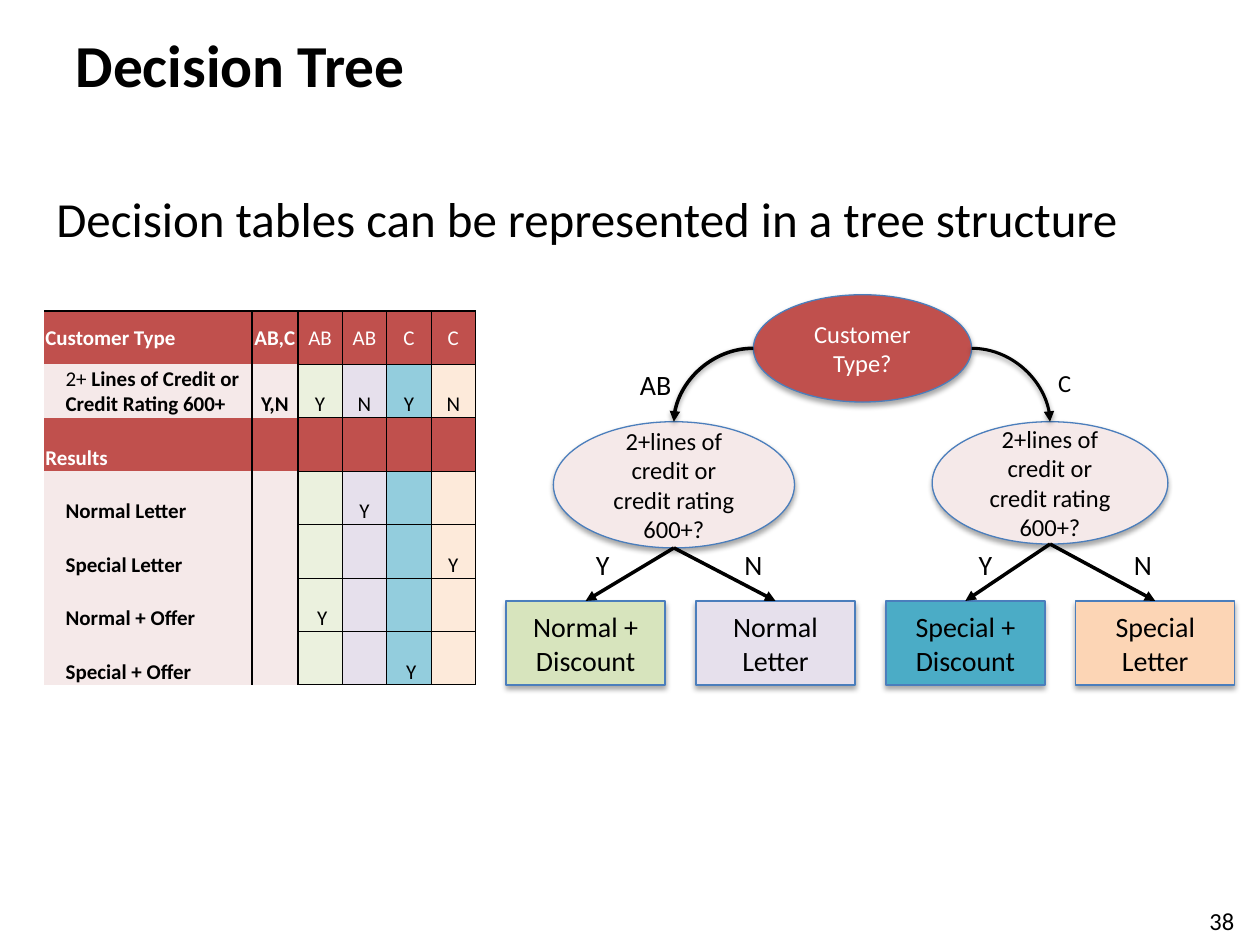
import pptx
import pptx.dml.color
import pptx.enum.shapes
import pptx.enum.text
import pptx.oxml
import pptx.oxml.ns
import pptx.util

Pt = pptx.util.Pt
ALIGN = pptx.enum.text.PP_ALIGN
ANCHOR = pptx.enum.text.MSO_ANCHOR
SHAPE = pptx.enum.shapes.MSO_SHAPE
LINK = pptx.enum.shapes.MSO_CONNECTOR
SPACE = pptx.oxml.ns.nsdecls("a")

BLACK, WHITE, RED, PINK = "000000", "FFFFFF", "C0504D", "F5E9E9"
TINTS = ["EBF1DE", "E6E0EC", "93CDDD", "FDEADA"]
ROWS = [
    ["Customer Type", "", "AB,C", "AB", "AB", "C", "C"],
    ["", "Lines of Credit or\nCredit Rating 600+", "Y,N", "Y", "N", "Y", "N"],
    ["Results", "", "", "", "", "", ""],
    ["", "Normal Letter", "", "", "Y", "", ""],
    ["", "Special Letter", "", "", "", "", "Y"],
    ["", "Normal + Offer", "", " Y", "", "", ""],
    ["", "Special + Offer", "", "", "", " Y", ""],
]
HEADS = (0, 2)
LEAVES = [
    ("Normal + Discount", "D7E4BD"),
    ("Normal Letter", "E6E0EC"),
    ("Special + Discount", "4BACC6"),
    ("Special Letter", "FCD5B5"),
]


def color(code):
    return pptx.dml.color.RGBColor.from_string(code)


def paint(fill, code):
    fill.solid()
    fill.fore_color.rgb = color(code)


def write(frame, words, size=16, ink=BLACK, bold=False, align=ALIGN.LEFT,
          anchor=ANCHOR.TOP, wrap=True, lead=""):
    frame.word_wrap = wrap
    frame.vertical_anchor = anchor
    for i, line in enumerate(words.split("\n")):
        para = frame.add_paragraph() if i else frame.paragraphs[0]
        para.alignment = align
        parts = [(line, bold)]
        if lead and i == 0:
            parts.insert(0, (lead, False))
        for part, heavy in parts:
            run = para.add_run()
            run.text = part
            font = run.font
            font.name, font.size, font.bold = "Calibri", Pt(size), heavy
            font.color.rgb = color(ink)


def shade(alpha, drop):
    return pptx.oxml.parse_xml(
        f'<a:outerShdw {SPACE} blurRad="{Pt(3.1)}" dist="{Pt(drop)}" dir="5400000" '
        f'rotWithShape="0"><a:srgbClr val="{BLACK}"><a:alpha val="{alpha * 1000}"/>'
        '</a:srgbClr></a:outerShdw>')


def edge(cell, side, width):
    body = (f'<a:solidFill><a:srgbClr val="{BLACK}"/></a:solidFill>'
            if width else "<a:noFill/>")
    cell._tc.get_or_add_tcPr().append(pptx.oxml.parse_xml(
        f'<a:ln{side} {SPACE} w="{Pt(width)}">{body}</a:ln{side}>'))


def edges(row, col):
    top = 1 if row == 0 else 0
    if col > 2:
        return {"L": 1 if col == 3 else 0.5, "R": 0.5, "T": top or 0.5, "B": 0.5}
    right = 1 if col or row in HEADS else 0
    return {"L": 1 if col == 2 else 0, "R": right, "T": top, "B": 0}


class Deck:
    line = "4B7EBC"

    def __init__(self):
        self.file = pptx.Presentation()
        self.file.slide_width, self.file.slide_height = Pt(720), Pt(540)
        self.slide = self.file.slides.add_slide(self.file.slide_layouts[5])
        self.shapes = self.slide.shapes

    def title(self, words, x, y, w, h):
        head = self.shapes.title
        head.left, head.top, head.width, head.height = map(Pt, (x, y, w, h))
        write(head.text_frame, words, size=34, bold=True)

    def label(self, words, x, y, w, h, **style):
        box = self.shapes.add_textbox(*map(Pt, (x, y, w, h)))
        write(box.text_frame, words, **style)

    def node(self, kind, words, fill, x, y, w, h, **style):
        node = self.shapes.add_shape(kind, *map(Pt, (x, y, w, h)))
        node.shadow.inherit = False
        node._element.spPr.find(pptx.oxml.ns.qn("a:effectLst")).append(shade(35, 1.8))
        paint(node.fill, fill)
        node.line.color.rgb = color(self.line)
        node.line.width = Pt(0.75)
        write(node.text_frame, words, align=ALIGN.CENTER, anchor=ANCHOR.MIDDLE, **style)

    def arrow(self, start, end, width=2, curve=False):
        kind = LINK.CURVE if curve else LINK.STRAIGHT
        link = self.shapes.add_connector(kind, *map(Pt, start + end))
        link.line.color.rgb = color(BLACK)
        link.line.width = Pt(width)
        link.line._get_or_add_ln().append(
            pptx.oxml.parse_xml(f'<a:tailEnd {SPACE} type="triangle"/>'))
        effects = pptx.oxml.parse_xml(f"<a:effectLst {SPACE}/>")
        props = link._element.spPr
        if curve:
            props.find(pptx.oxml.ns.qn("a:prstGeom")).set("prst", "curvedConnector2")
            effects.append(shade(38, 1.6))
        props.append(effects)

    def table(self, rows, x, y, widths, height):
        grid = self.shapes.add_table(
            len(rows), len(widths), Pt(x), Pt(y), Pt(sum(widths)),
            Pt(height * len(rows))).table
        for col, width in enumerate(widths):
            grid.columns[col].width = Pt(width)
        for r, row in enumerate(rows):
            grid.rows[r].height = Pt(height)
            for c, words in enumerate(row):
                self.cell(grid.cell(r, c), r, c, words)
        for r in HEADS:
            grid.cell(r, 0).merge(grid.cell(r, 1))

    def cell(self, cell, r, c, words):
        cell.margin_left = cell.margin_right = cell.margin_top = Pt(0.72)
        cell.margin_bottom = 0
        cell.vertical_anchor = ANCHOR.BOTTOM if r else ANCHOR.MIDDLE
        for side, width in edges(r, c).items():
            edge(cell, side, width)
        paint(cell.fill, RED if r in HEADS else PINK if c < 3 else TINTS[c - 3])
        if words:
            write(cell.text_frame, words, size=12, bold=c < 3,
                  ink=WHITE if r in HEADS else BLACK,
                  align=ALIGN.CENTER if c > 1 else ALIGN.LEFT,
                  anchor=cell.vertical_anchor, lead="2+ " if (r, c) == (1, 1) else "")


def main():
    deck = Deck()
    deck.title("Decision Tree", 36, 12.2, 480, 78)
    deck.label("38", 684, 514, 32.4, 18, size=14, wrap=False)
    deck.label("Decision tables can be represented in a tree structure",
               25.2, 104.4, 648, 388.8, size=28)
    deck.table(ROWS, 25.2, 177.6, [11.6, 107.2, 26.2] + [25.4] * 4, 30.55)

    root = (430.5, 168.4, 124.7, 61.3)
    tests = [(316.2, 241, 137.8, 72.1), (532.7, 241, 134.7, 69.9)]
    deck.node(SHAPE.OVAL, "Customer Type?", RED, *root, size=14, ink=WHITE)
    for test in tests:
        deck.node(SHAPE.OVAL, "2+lines of credit or credit rating 600+?", PINK,
                  *test, size=14)

    left, step, top, wide, high = 289.2, 108.5, 343.4, 90.9, 48.1
    for i, (words, fill) in enumerate(LEAVES):
        deck.node(SHAPE.RECTANGLE, words, fill, left + i * step, top, wide, high)

    x, y, w, h = root
    for i, (tx, ty, tw, th) in enumerate(tests):
        middle = tx + tw / 2
        deck.arrow((x + i * w, y + h / 2), (middle, ty), 2 - i * 0.25, curve=True)
        for leaf in (2 * i, 2 * i + 1):
            deck.arrow((middle, ty + th), (left + leaf * step + wide / 2, top))

    deck.label("AB", 358.6, 206.6, 38.2, 26.6, wrap=False)
    deck.label("C", 597.6, 206.6, 22.3, 24.5, size=14, wrap=False)
    for words, x in zip("YNYN", (333.4, 418.3, 552.2, 640.8)):
        deck.label(words, x, 309.6, 22.3, 26.6, wrap=False)

    deck.file.save("out.pptx")


if __name__ == "__main__":
    main()
